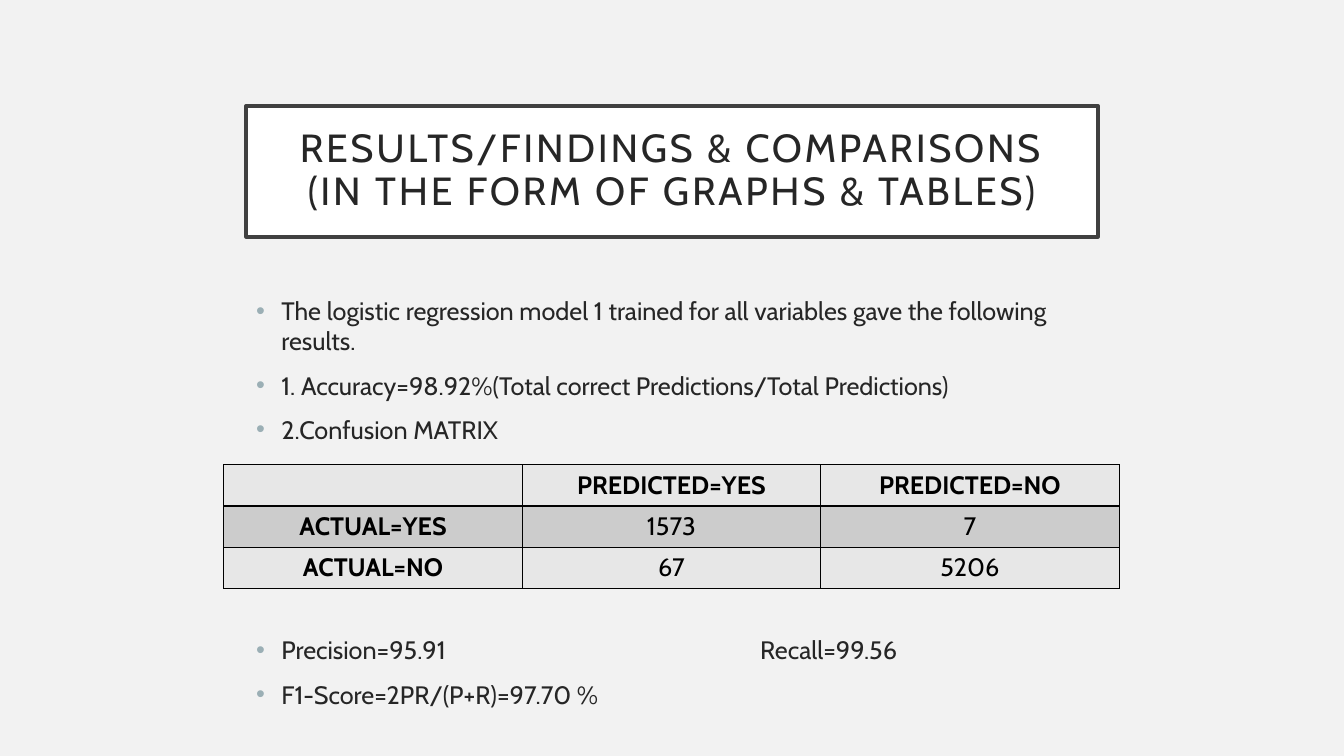
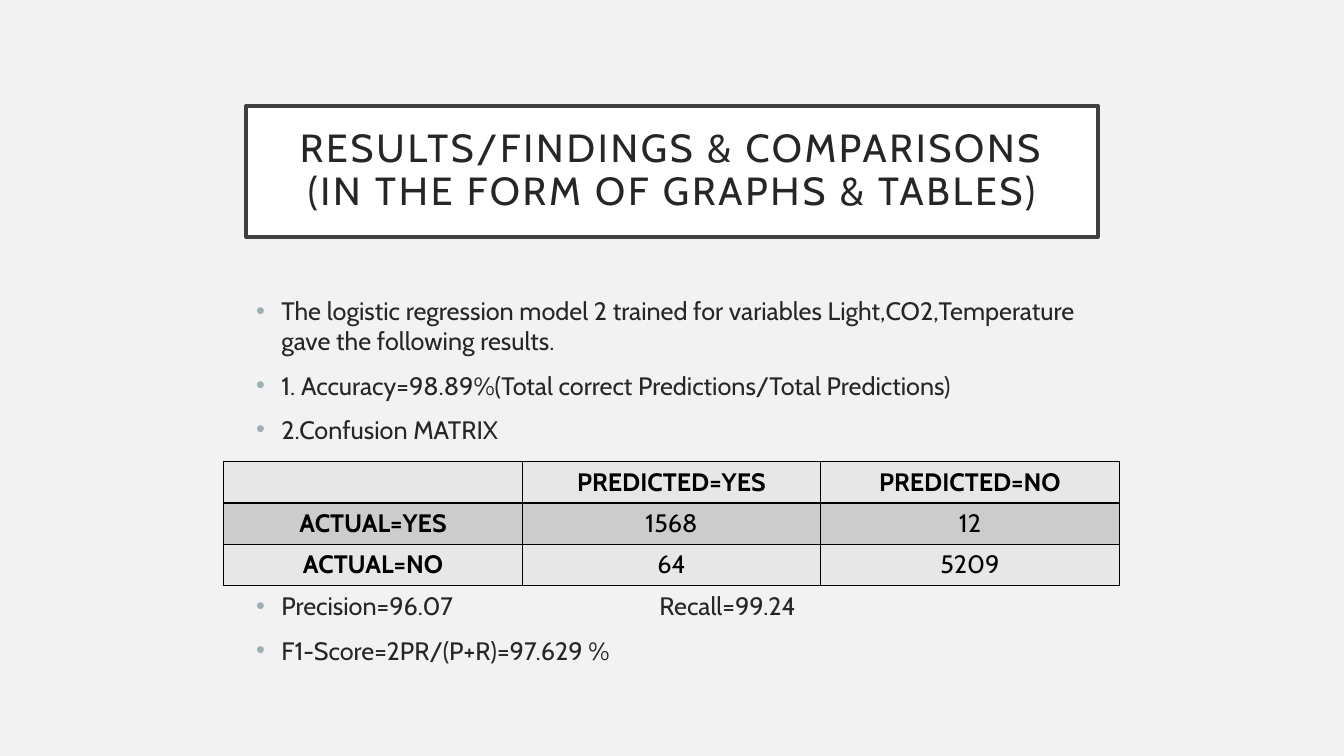
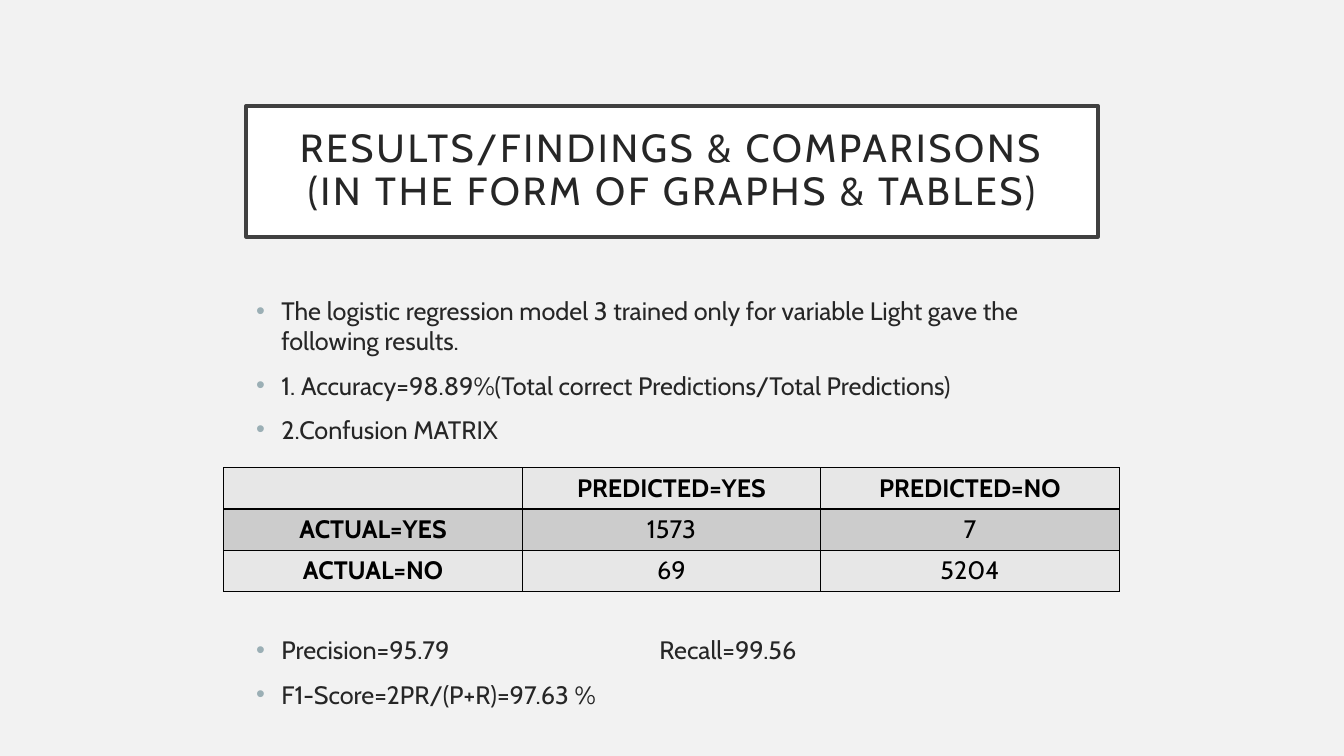
from dataclasses import dataclass

from lxml import etree
from pptx import Presentation
from pptx.dml.color import RGBColor
from pptx.enum.text import MSO_ANCHOR, MSO_AUTO_SIZE, PP_ALIGN
from pptx.oxml.ns import qn
from pptx.slide import Slide
from pptx.text.text import Font
from pptx.util import Inches, Pt

CENTER, LEFT = PP_ALIGN.CENTER, PP_ALIGN.LEFT
MIDDLE, TOP = MSO_ANCHOR.MIDDLE, MSO_ANCHOR.TOP
NO_AUTOFIT = MSO_AUTO_SIZE.NONE

COLORS = {
    "background": "F2F2F2",
    "title_fill": "FFFFFF",
    "title_border": "404040",
    "text": "262626",
    "bullet": "9BAFB5",
    "table_text": "000000",
    "grid": "000000",
    "row_light": "E7E7E7",
    "row_dark": "CCCCCC",
}
FONT = "Cabin"
BODY_SIZE = 18
TITLE = "RESULTS/FINDINGS & COMPARISONS\n(IN THE FORM OF GRAPHS & TABLES)"
CONTENT_LEFT, CONTENT_WIDTH = 2.44, 8.45
BULLET_GAP = 10
TABLE_LEFT, COLUMN_WIDTH, ROW_HEIGHT = 2.22, 2.96, 0.41


@dataclass(frozen=True)
class ModelResult:
    """Scores of one trained model and the layout of its slide."""

    summary: str
    accuracy: str
    actual_yes: tuple[int, int]
    actual_no: tuple[int, int]
    precision: str
    recall: str
    f1_score: str
    body_height: float
    table_top: float
    score_gap: float
    recall_tab: float


RESULTS = [
    ModelResult(
        "The logistic regression model 1 trained for all variables gave the following results.",
        "98.92", (1573, 7), (67, 5206), "95.91", "99.56", "97.70",
        body_height=4.28, table_top=4.61, score_gap=136, recall_tab=5,
    ),
    ModelResult(
        "The logistic regression model 2 trained for variables Light,CO2,Temperature "
        "gave the following results.",
        "98.89", (1568, 12), (64, 5209), "96.07", "99.24", "97.629",
        body_height=4.17, table_top=4.58, score_gap=104.5, recall_tab=4,
    ),
    ModelResult(
        "The logistic regression model 3 trained only for variable Light gave the "
        "following results.",
        "98.89", (1573, 7), (69, 5204), "95.79", "99.56", "97.63",
        body_height=4.32, table_top=4.64, score_gap=136, recall_tab=4,
    ),
]


def rgb(name: str) -> RGBColor:
    """Return the named palette colour."""
    return RGBColor.from_string(COLORS[name])


def style_font(font: Font, size: float, color: str, bold: bool = False) -> None:
    """Apply the deck's typeface with a size, colour and weight."""
    font.name = FONT
    font.size = Pt(size)
    font.bold = bold
    font.color.rgb = rgb(color)


def add_title(slide: Slide) -> None:
    """Fill the title placeholder and frame it as a bordered box."""
    title = slide.shapes.title
    title.left, title.top = Inches(CONTENT_LEFT), Inches(1.05)
    title.width, title.height = Inches(CONTENT_WIDTH), Inches(1.3)
    title.fill.solid()
    title.fill.fore_color.rgb = rgb("title_fill")
    title.line.color.rgb = rgb("title_border")
    title.line.width = Pt(2.5)
    frame = title.text_frame
    frame.auto_size = NO_AUTOFIT
    frame.vertical_anchor = MIDDLE
    frame.margin_left = frame.margin_right = Inches(0.2)
    frame.margin_top = frame.margin_bottom = Inches(0.2)
    heading = frame.paragraphs[0]
    heading.text = TITLE
    heading.alignment = CENTER
    heading.line_spacing = 0.9
    for run in heading.runs:
        style_font(run.font, 28, "text")
        run.font._element.set("spc", "200")


def add_findings(slide: Slide, result: ModelResult) -> None:
    """Fill the body placeholder with bullets, leaving a gap for the matrix."""
    body = slide.placeholders[1]
    body.left, body.top = Inches(CONTENT_LEFT), Inches(2.88)
    body.width, body.height = Inches(CONTENT_WIDTH), Inches(result.body_height)
    scores = f"Precision={result.precision}\tRecall={result.recall}"
    findings = [
        result.summary,
        f"1. Accuracy={result.accuracy}%(Total correct Predictions/Total Predictions)",
        "2.Confusion MATRIX",
        scores,
        f"F1-Score=2PR/(P+R)={result.f1_score} %",
    ]
    frame = body.text_frame
    frame.text = "\n".join(findings)
    frame.auto_size = NO_AUTOFIT
    frame.vertical_anchor = TOP
    for finding, bullet in zip(findings, frame.paragraphs):
        bullet.alignment = LEFT
        bullet.line_spacing = 1.0
        bullet.space_before = Pt(result.score_gap if finding == scores else BULLET_GAP)
        style_font(bullet.runs[0].font, BODY_SIZE, "text")
        properties = bullet._p.get_or_add_pPr()
        properties.set("marL", str(Inches(0.25)))
        properties.set("indent", str(-Inches(0.25)))
        bullet_color = etree.SubElement(properties, qn("a:buClr"))
        etree.SubElement(bullet_color, qn("a:srgbClr"), val=COLORS["bullet"])
        etree.SubElement(properties, qn("a:buFont"), typeface="Arial")
        etree.SubElement(properties, qn("a:buChar"), char="•")
        if finding == scores:
            tabs = etree.SubElement(properties, qn("a:tabLst"))
            etree.SubElement(tabs, qn("a:tab"), pos=str(Inches(result.recall_tab)), algn="l")


def add_confusion_matrix(slide: Slide, result: ModelResult) -> None:
    """Draw the table of actual against predicted counts."""
    matrix = [
        ("", "PREDICTED=YES", "PREDICTED=NO"),
        ("ACTUAL=YES", *result.actual_yes),
        ("ACTUAL=NO", *result.actual_no),
    ]
    table = slide.shapes.add_table(
        len(matrix), len(matrix[0]), Inches(TABLE_LEFT), Inches(result.table_top),
        Inches(COLUMN_WIDTH * len(matrix[0])), Inches(ROW_HEIGHT * len(matrix)),
    ).table
    table.first_row = table.horz_banding = False
    for row_index, row in enumerate(matrix):
        for column_index, value in enumerate(row):
            cell = table.cell(row_index, column_index)
            properties = cell._tc.get_or_add_tcPr()
            for side in ("a:lnL", "a:lnR", "a:lnT", "a:lnB"):
                border = etree.SubElement(properties, qn(side), w=str(Pt(1)))
                border_fill = etree.SubElement(border, qn("a:solidFill"))
                etree.SubElement(border_fill, qn("a:srgbClr"), val=COLORS["grid"])
            cell.fill.solid()
            cell.fill.fore_color.rgb = rgb("row_dark" if row_index % 2 else "row_light")
            label = cell.text_frame.paragraphs[0]
            label.text = str(value)
            label.alignment = CENTER
            is_header = row_index == 0 or column_index == 0
            for run in label.runs:
                style_font(run.font, BODY_SIZE, "table_text", is_header)


def build_deck() -> None:
    """Create one slide per model and save the deck."""
    deck = Presentation()
    deck.slide_width, deck.slide_height = Inches(13.33), Inches(7.5)
    background = deck.slide_master.background.fill
    background.solid()
    background.fore_color.rgb = rgb("background")
    for result in RESULTS:
        slide = deck.slides.add_slide(deck.slide_layouts[1])
        add_title(slide)
        add_findings(slide, result)
        add_confusion_matrix(slide, result)
    deck.save("out.pptx")


build_deck()
